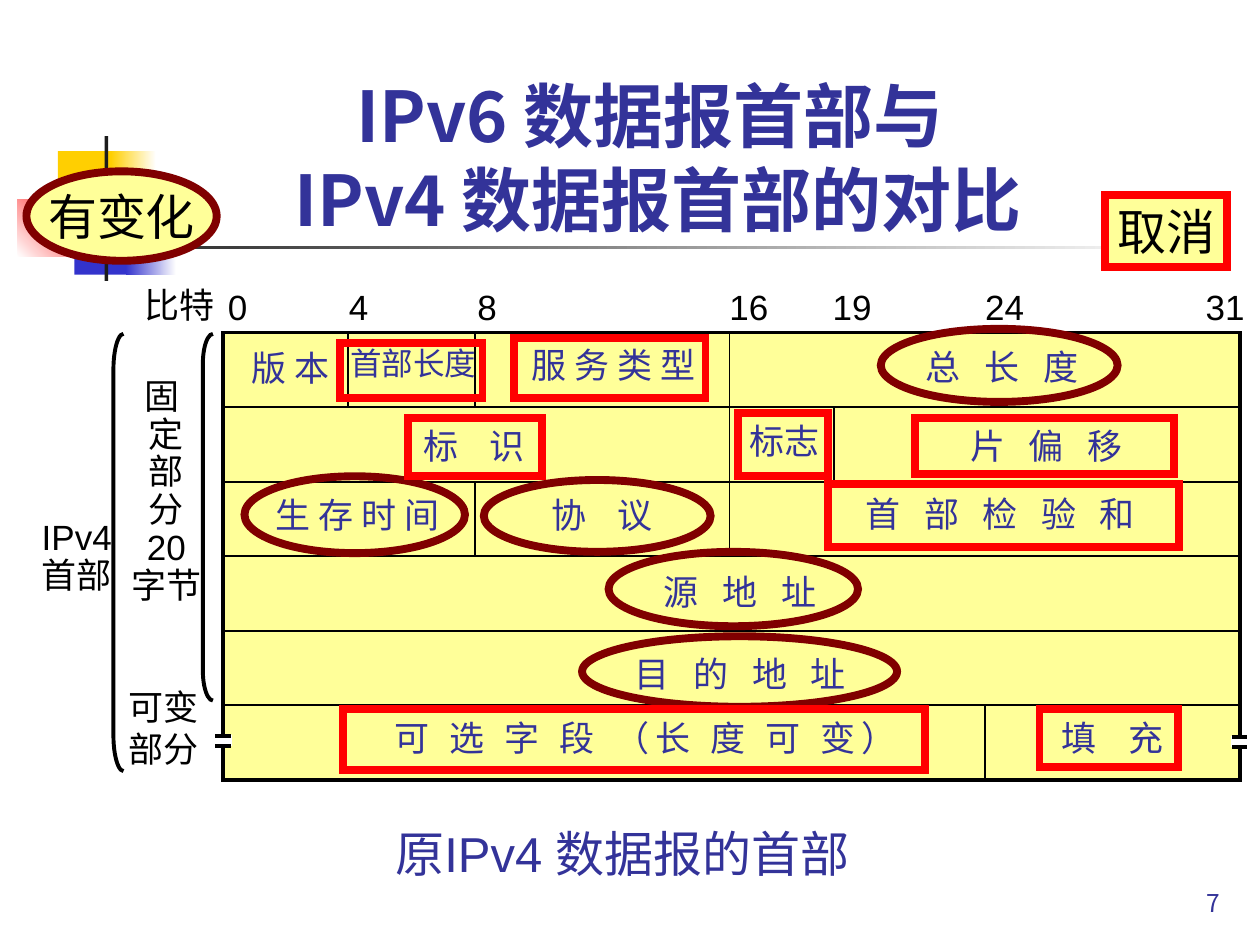
"""Build the slide that compares the IPv6 and IPv4 datagram headers."""
import pptx
import pptx.util
from pptx.dml.color import RGBColor
from pptx.enum.shapes import MSO_CONNECTOR, MSO_SHAPE
from pptx.enum.text import MSO_ANCHOR, MSO_AUTO_SIZE, PP_ALIGN
from lxml import etree

Pt = pptx.util.Pt
BLACK = RGBColor(0, 0, 0)
DARK = RGBColor(0x1C, 0x1C, 0x1C)
WHITE = RGBColor(0xFF, 0xFF, 0xFF)
NAVY = RGBColor(0x33, 0x33, 0x99)
BLUE = RGBColor(0x33, 0x33, 0xCC)
GOLD = RGBColor(0xFF, 0xCF, 0x01)
CREAM = RGBColor(0xFF, 0xFF, 0x99)
RED = RGBColor(0xFF, 0, 0)
MAROON = RGBColor(0x80, 0, 0)
SANS, CJK, ROBOTO = "Arial", "Noto Sans CJK JP", "Roboto"
RECT, OVAL = MSO_SHAPE.RECTANGLE, MSO_SHAPE.OVAL
LEFT, MID, RIGHT = PP_ALIGN.LEFT, PP_ALIGN.CENTER, PP_ALIGN.RIGHT

DECOR = [
    ((0.46, 1.2, 0.48, 0.52), [GOLD], 0),
    ((0.88, 1.2, 0.36, 0.52), [GOLD, WHITE], 0),
    ((0.59, 1.66, 0.46, 0.52), [BLUE], 0),
    ((1, 1.66, 0.4, 0.52), [BLUE, WHITE], 0),
    ((0.14, 1.58, 0.61, 0.46), [WHITE, RED], 45),
    ((0.83, 1.08, 0.03, 1.15), [DARK], 0),
    ((0.48, 1.95, 9, 0.03), [DARK, WHITE], 0),
]
TITLE = "IPv6 数据报首部与\v IPv4 数据报首部的对比"
GRID = (1.77, 2.64, 8.07, 3.55)
ROWS = 6
COLS = [(2.76, 0, 1), (3.77, 0, 1), (3.77, 2, 3), (5.79, 0, 3),
        (6.62, 1, 2), (7.82, 5, 6)]
BITS = [("0", 1.71, 0.35), ("4", 2.67, 0.35), ("8", 3.69, 0.35),
        ("16", 5.69, 0.51), ("19", 6.51, 0.51), ("24", 7.72, 0.51),
        ("31", 9.47, 0.51)]
FIELDS = [
    ("版 本", 1.9, 2.7, 0.82, 0), ("标志", 5.85, 3.28, 0.76, 0),
    ("生 存 时 间", 2.09, 3.87, 1.5, 0), ("协 议", 4.28, 3.87, 1.1, 6.7),
    ("标 识", 3.26, 3.32, 1.1, 6.7), ("服 务 类 型", 4.12, 2.68, 1.5, 0),
    ("总 长 度", 7.25, 2.69, 1.48, 4.5), ("片 偏 移", 7.6, 3.32, 1.48, 4.5),
    ("填 充", 8.33, 5.64, 1.1, 6.7), ("首 部 检 验 和", 6.77, 3.86, 2.4, 4.5),
    ("源 地 址", 5.17, 4.48, 1.48, 4.5), ("目 的 地 址", 4.94, 5.13, 1.94, 4.5),
    ("可 选 字 段 （长 度 可 变）", 3.03, 5.64, 4.23, 3.5),
]
SIDES = [
    ("比特", (1.05, 2.2, 0.76, 0.43), LEFT, 1),
    ("固 \n定\n部\n分\n20\n字节", (0.94, 2.96, 0.76, 1.9), MID, 0.9),
    ("可变\n部分", (0.92, 5.39, 0.76, 0.76), LEFT, 1),
    ("IPv4\n首部", (0.23, 4.08, 0.76, 0.7), MID, 0.9),
]
GAPS = [(1.7, 5.83), (9.77, 5.84)]
MARKS = [
    (OVAL, MAROON, [(4.83, 4.38, 1.98, 0.59), (6.99, 2.61, 1.88, 0.58),
                    (3.84, 3.81, 1.8, 0.57), (4.62, 5.05, 2.5, 0.56),
                    (1.94, 3.78, 1.75, 0.61)]),
    (RECT, RED, [(8.25, 5.63, 1.1, 0.46), (3.24, 3.32, 1.06, 0.46),
                 (5.86, 3.28, 0.71, 0.5), (7.26, 3.32, 2.06, 0.44),
                 (6.57, 3.84, 2.79, 0.5), (2.72, 5.63, 4.62, 0.48),
                 (4.08, 2.68, 1.52, 0.48), (2.7, 2.72, 1.13, 0.44)]),
]
BRACES = [((1.61, 2.65, 0.08, 2.91), 3), ((0.9, 2.65, 0.08, 3.47), 3.6)]
KEYS = [
    ("取消", RECT, RED, (8.77, 1.55, 0.97, 0.57), LEFT, MSO_ANCHOR.TOP),
    ("有变化", OVAL, MAROON, (0.21, 1.36, 1.51, 0.71), MID, MSO_ANCHOR.MIDDLE),
]


def cm(*vals):
    """Turn inch values into Cm lengths."""
    return [pptx.util.Cm(val * 2.54) for val in vals]


def write(shape, text, size, face=SANS, tint=BLACK, align=LEFT, bold=False,
          lead=1, space=0, wrap=False, anchor=MSO_ANCHOR.TOP):
    """Fill a shape with formatted text."""
    frame = shape.text_frame
    frame.text = text
    frame.word_wrap = wrap
    frame.vertical_anchor = anchor
    for para in frame.paragraphs:
        para.alignment = align
        para.line_spacing = lead
        for run in para.runs:
            font = run.font
            font.size, font.name, font.bold = Pt(size), face, bold
            font.color.rgb = tint
            props = font._element
            if space:
                props.set("spc", str(round(space * 100)))
            east = etree.SubElement(props, pptx.oxml.ns.qn("a:ea"))
            east.set("typeface", CJK)


def label(slide, text, box, size=20, wrap=False, **style):
    """Add a text box that grows with its text unless it wraps."""
    shape = slide.shapes.add_textbox(*cm(*box))
    write(shape, text, size, wrap=wrap, **style)
    if not wrap:
        shape.text_frame.auto_size = MSO_AUTO_SIZE.SHAPE_TO_FIT_TEXT


def block(slide, kind, box, fill=(), edge=None, width=1, angle=0):
    """Add a preset shape with no, plain or two-colour fill."""
    shape = slide.shapes.add_shape(kind, *cm(*box))
    shape.shadow.inherit = False
    if not fill:
        shape.fill.background()
    elif len(fill) == 1:
        shape.fill.solid()
        shape.fill.fore_color.rgb = fill[0]
    else:
        shape.fill.gradient()
        shape.fill.gradient_angle = angle
        for stop, tint in zip(shape.fill.gradient_stops, fill):
            stop.color.rgb = tint
    if edge is None:
        shape.line.fill.background()
    else:
        shape.line.color.rgb = edge
        shape.line.width = Pt(width)
        join = etree.SubElement(shape.line._ln, pptx.oxml.ns.qn("a:miter"))
        join.set("lim", "800000")
    return shape


def rule(slide, *ends, width=1):
    """Add a straight black line."""
    line = slide.shapes.add_connector(MSO_CONNECTOR.STRAIGHT, *cm(*ends))
    line.line.color.rgb = BLACK
    line.line.width = Pt(width)
    etree.SubElement(line._element.spPr, pptx.oxml.ns.qn("a:effectLst"))


def table(slide):
    """Draw the header grid with its bits and fields."""
    block(slide, RECT, GRID, [CREAM], BLACK, 2)
    left, top, wide, high = GRID
    step = high / ROWS
    for row in range(1, ROWS):
        rule(slide, left, top + row * step, left + wide, top + row * step)
    for col, first, last in COLS:
        rule(slide, col, top + first * step, col, top + last * step)
    for text, x, w in BITS:
        label(slide, text, (x, 2.22, w, 0.43))
    for text, x, y, w, space in FIELDS:
        label(slide, text, (x, y, w, 0.43), tint=NAVY, space=space)
    label(slide, "首部长度", (2.68, 2.68, 1.2, 0.4), 18, tint=NAVY)


def main():
    """Build and save the slide."""
    deck = pptx.Presentation()
    deck.slide_width, deck.slide_height = cm(10, 7.5)
    slide = deck.slides.add_slide(deck.slide_layouts[6])
    for box, fill, angle in DECOR:
        block(slide, RECT, box, fill, angle=angle)
    label(slide, "7", (7.7, 6.83, 2.08, 0.5), 14, face=CJK, tint=NAVY,
          align=RIGHT, wrap=True, anchor=MSO_ANCHOR.BOTTOM)
    label(slide, TITLE, (0.9, 0.36, 8.52, 1.6), 40, face=CJK, tint=NAVY,
          align=MID, bold=True, wrap=True, anchor=MSO_ANCHOR.BOTTOM)
    table(slide)
    for text, box, align, lead in SIDES:
        label(slide, text, box, align=align, lead=lead)
    for x, y in GAPS:
        block(slide, RECT, (x, y, 0.14, 0.09), [WHITE])
        for down in (0.01, 0.09):
            rule(slide, x + 0.01, y + down, x + 0.13, y + down, width=2)
    for kind, edge, boxes in MARKS:
        for box in boxes:
            block(slide, kind, box, edge=edge, width=4.5)
    for box, bend in BRACES:
        brace = block(slide, MSO_SHAPE.LEFT_BRACKET, box, edge=BLACK, width=2.25)
        brace.adjustments[0] = bend
    label(slide, "原IPv4 数据报的首部", (3.04, 6.49, 3.99, 0.57), 28, tint=NAVY)
    for text, kind, edge, box, align, anchor in KEYS:
        key = block(slide, kind, box, [CREAM], edge, 4.5)
        write(key, text, 28, ROBOTO, align=align, anchor=anchor)
    deck.save("out.pptx")


if __name__ == "__main__":
    main()
